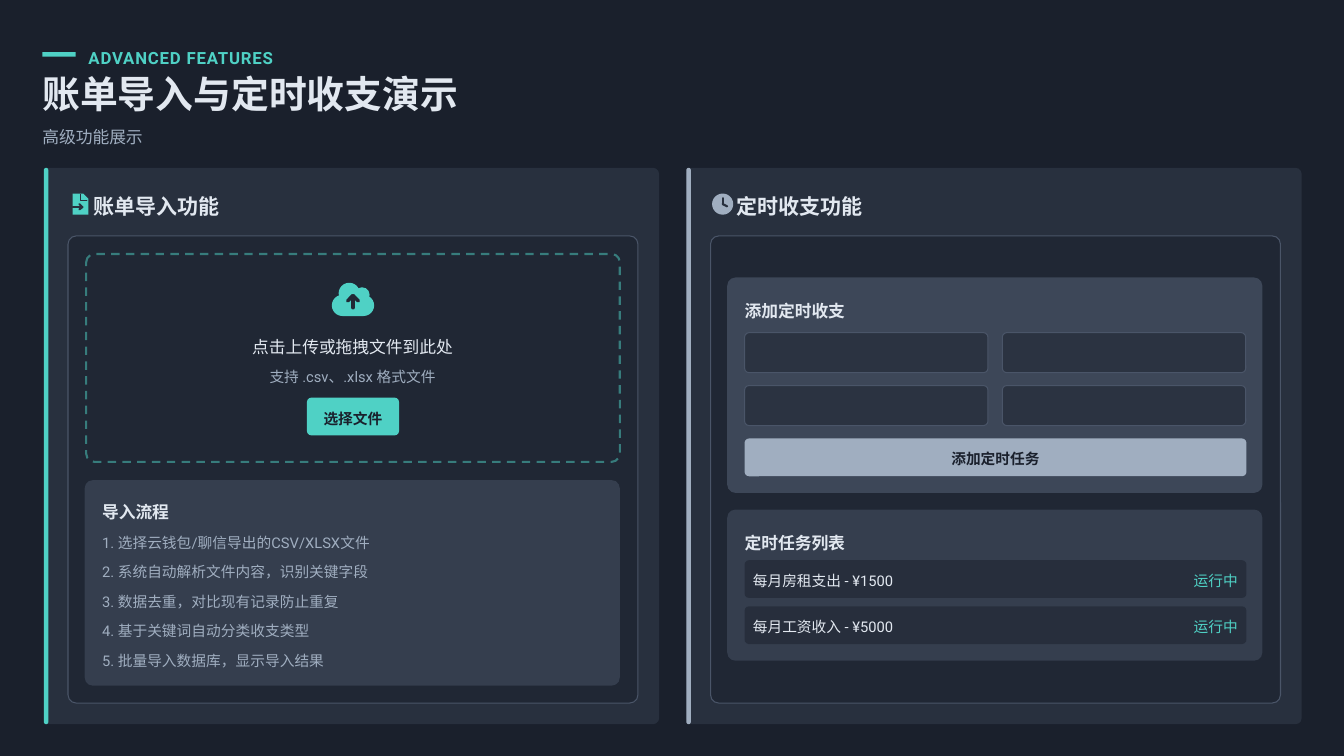
import pptx
import pptx.dml.color
import pptx.enum.dml
import pptx.enum.shapes
import pptx.enum.text
import pptx.oxml.ns
import pptx.util
from lxml import etree

Inches = pptx.util.Inches
Pt = pptx.util.Pt
rgb = pptx.dml.color.RGBColor.from_string
qn = pptx.oxml.ns.qn
Shape = pptx.enum.shapes.MSO_SHAPE
Align = pptx.enum.text.PP_ALIGN

DARK, SLATE, TEAL, GREY, LIGHT = "1A202C", "4A5568", "4FD1C5", "A0AEC0", "E2E8F0"
CARD_BLEND, PANEL_BLEND = "28303E", "212835"

presentation = pptx.Presentation()
presentation.slide_width = Inches(17.78)
presentation.slide_height = Inches(10)
slide = presentation.slides.add_slide(presentation.slide_layouts[5])
slide.background.fill.solid()
slide.background.fill.fore_color.rgb = rgb(DARK)


def box(left, top, width, height, fill=None, alpha=100, radius=0.0, line=None, kind=Shape.ROUNDED_RECTANGLE):
    shape = slide.shapes.add_shape(kind, Inches(left), Inches(top), Inches(width), Inches(height))
    shape.shadow.inherit = False
    if len(shape.adjustments):
        shape.adjustments[0] = radius / min(width, height)
    if fill:
        shape.fill.solid()
        shape.fill.fore_color.rgb = rgb(fill)
        if alpha < 100:
            color = shape.fill._xPr.find(qn("a:solidFill"))[0]
            etree.SubElement(color, qn("a:alpha"), val=str(alpha * 1000))
    else:
        shape.fill.background()
    if line:
        shape.line.color.rgb = rgb(line)
        shape.line.width = Pt(1)
    else:
        shape.line.fill.background()
    return shape


def write(shape, text, size, color, bold=False, spacing=1.2, align=Align.LEFT):
    frame = shape.text_frame
    frame.word_wrap = True
    frame.auto_size = pptx.enum.text.MSO_AUTO_SIZE.NONE
    frame.vertical_anchor = pptx.enum.text.MSO_ANCHOR.MIDDLE
    frame.margin_left = frame.margin_right = frame.margin_top = frame.margin_bottom = 0
    paragraph = frame.paragraphs[0]
    paragraph.alignment = align
    paragraph.line_spacing = spacing
    run = paragraph.add_run()
    run.text = text
    run.font.name = "Roboto"
    run.font.size = Pt(size)
    run.font.bold = bold
    run.font.color.rgb = rgb(color)
    return run


title = slide.shapes.title
title.left, title.top, title.width, title.height = Inches(0.56), Inches(1), Inches(16.92), Inches(0.56)
write(title, "账单导入与定时收支演示", 36, LIGHT, True, 0.9)
box(0.56, 0.69, 0.44, 0.06, TEAL, kind=Shape.RECTANGLE)

for left, heading, accent in [(0.58, "账单导入功能", TEAL), (9.08, "定时收支功能", GREY)]:
    box(left, 2.22, 8.14, 7.36, SLATE, 30, 0.08)
    box(left, 2.22, 0.06, 7.36, accent, radius=0.03)
    box(left + 0.32, 3.12, 7.54, 6.18, DARK, 50, 0.11, SLATE)
    heading_box = slide.shapes.add_textbox(Inches(left + 0.66), Inches(2.5), Inches(7.35), Inches(0.39))
    write(heading_box, heading, 20, LIGHT, True)

drop_zone = box(1.14, 3.36, 7.06, 2.75, radius=0.11, line=TEAL)
drop_zone.line.width = Pt(2)
drop_zone.line.dash_style = pptx.enum.dml.MSO_LINE.DASH
line_color = drop_zone.line._ln.find(qn("a:solidFill"))[0]
etree.SubElement(line_color, qn("a:alpha"), val="50000")

choose_button = box(4.06, 5.26, 1.22, 0.5, TEAL, radius=0.06)
write(choose_button, "选择文件", 14, DARK, True, align=Align.CENTER)

box(1.12, 6.35, 7.08, 2.72, SLATE, 50, 0.11)
box(9.62, 3.67, 7.08, 2.85, SLATE, 70, 0.11)
box(9.62, 6.74, 7.08, 2, SLATE, 50, 0.11)

for row in range(2):
    for column in range(2):
        box(9.85 + 3.41 * column, 4.4 + 0.7 * row, 3.22, 0.53, DARK, 50, 0.06, SLATE)

add_button = box(9.85, 5.8, 6.64, 0.5, GREY, radius=0.06)
write(add_button, "添加定时任务", 14, DARK, True, align=Align.CENTER)

texts = [
    (0.56, 1.61, 16.78, 0.33, "高级功能展示", 16, GREY, False, 1.3, Align.LEFT),
    (1.43, 4.38, 6.47, 0.33, "点击上传或拖拽文件到此处", 16, LIGHT, False, 1.3, Align.CENTER),
    (1.43, 4.82, 6.47, 0.28, "支持 .csv、.xlsx 格式文件", 14, GREY, False, 1.2, Align.CENTER),
    (1.35, 6.57, 6.75, 0.33, "导入流程", 16, LIGHT, True, 1.3, Align.LEFT),
    (9.85, 3.9, 6.75, 0.33, "添加定时收支", 16, LIGHT, True, 1.3, Align.LEFT),
    (9.85, 6.97, 6.75, 0.33, "定时任务列表", 16, LIGHT, True, 1.3, Align.LEFT),
]

steps = [
    "选择云钱包/聊信导出的CSV/XLSX文件",
    "系统自动解析文件内容，识别关键字段",
    "数据去重，对比现有记录防止重复",
    "基于关键词自动分类收支类型",
    "批量导入数据库，显示导入结果",
]
for index, step in enumerate(steps):
    texts.append((1.35, 7.01 + 0.39 * index, 6.74, 0.28, f"{index + 1}. {step}", 14, GREY, False, 1.2, Align.LEFT))

for index, task in enumerate(["每月房租支出 - ¥1500", "每月工资收入 - ¥5000"]):
    top = 7.41 + 0.61 * index
    box(9.85, top, 6.64, 0.5, DARK, 50, 0.06)
    texts.append((9.96, top + 0.11, 2.5, 0.28, task, 14, LIGHT, False, 1.2, Align.LEFT))
    texts.append((15.79, top + 0.11, 0.68, 0.28, "运行中", 14, TEAL, False, 1.2, Align.LEFT))

for left, top, width, height, *content in texts:
    write(slide.shapes.add_textbox(Inches(left), Inches(top), Inches(width), Inches(height)), *content)

label_box = slide.shapes.add_textbox(Inches(1.17), Inches(0.56), Inches(2.68), Inches(0.33))
label = write(label_box, "ADVANCED FEATURES", 16, TEAL, True, 1.3)
label.font._element.set("spc", "80")

box(0.96, 2.56, 0.21, 0.28, TEAL, radius=0.07, kind=Shape.SNIP_1_RECTANGLE)
box(9.42, 2.56, 0.28, 0.28, GREY, kind=Shape.OVAL)
box(4.39, 3.9, 0.56, 0.28, TEAL, radius=0.14)
for left, top, size in [(4.48, 3.74, 0.28), (4.69, 3.8, 0.2)]:
    box(left, top, size, size, TEAL, kind=Shape.OVAL)

strokes = [
    (CARD_BLEND, 1, [(1.07, 2.57), (1.07, 2.65), (1.15, 2.65)]),
    (CARD_BLEND, 2, [(0.96, 2.74), (1.09, 2.74)]),
    (CARD_BLEND, 2, [(1.05, 2.7), (1.09, 2.74), (1.05, 2.77)]),
    (CARD_BLEND, 2, [(9.56, 2.62), (9.56, 2.7), (9.62, 2.73)]),
    (PANEL_BLEND, 3.5, [(4.67, 4.07), (4.67, 3.92)]),
    (PANEL_BLEND, 3.5, [(4.6, 3.98), (4.67, 3.91), (4.74, 3.98)]),
]
for color, width, points in strokes:
    for start, end in zip(points, points[1:]):
        connector = slide.shapes.add_connector(
            pptx.enum.shapes.MSO_CONNECTOR.STRAIGHT,
            Inches(start[0]), Inches(start[1]), Inches(end[0]), Inches(end[1]),
        )
        connector.line.color.rgb = rgb(color)
        connector.line.width = Pt(width)
        connector.line._ln.set("cap", "rnd")
        etree.SubElement(connector._element.spPr, qn("a:effectLst"))

presentation.save("out.pptx")
